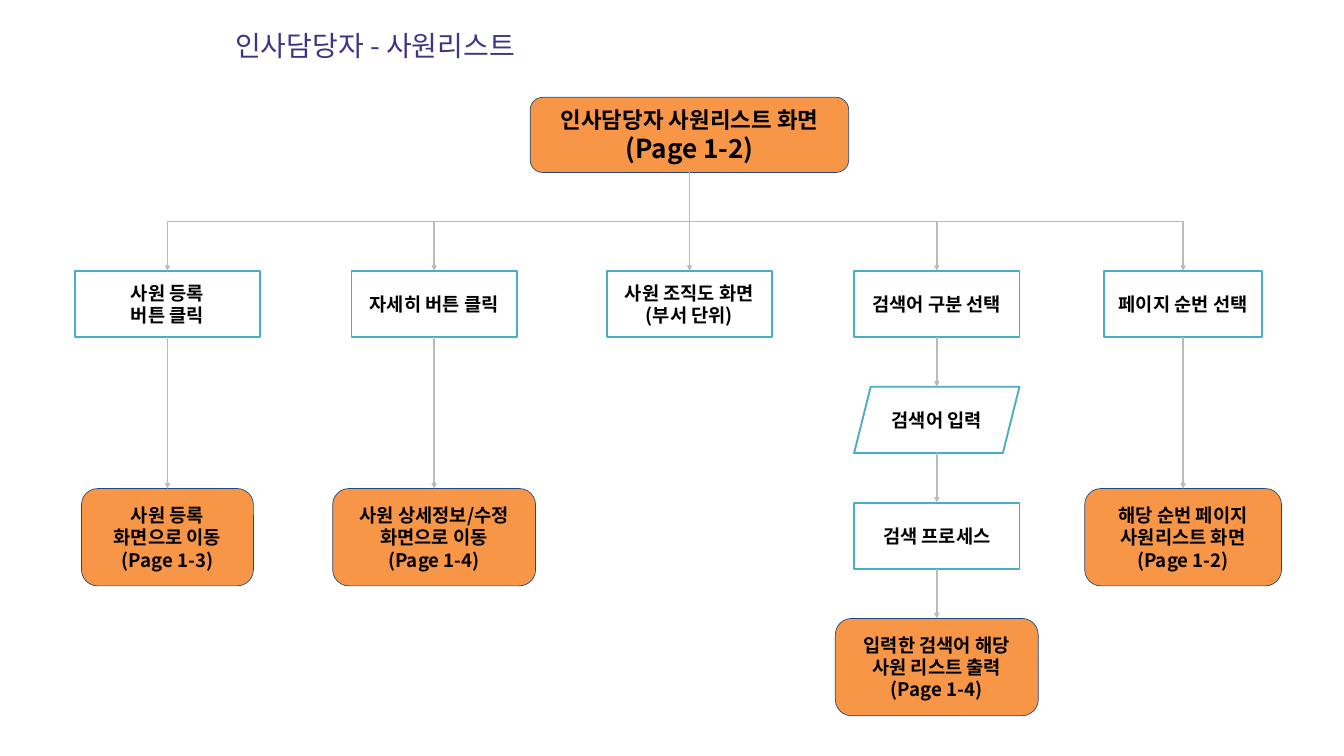
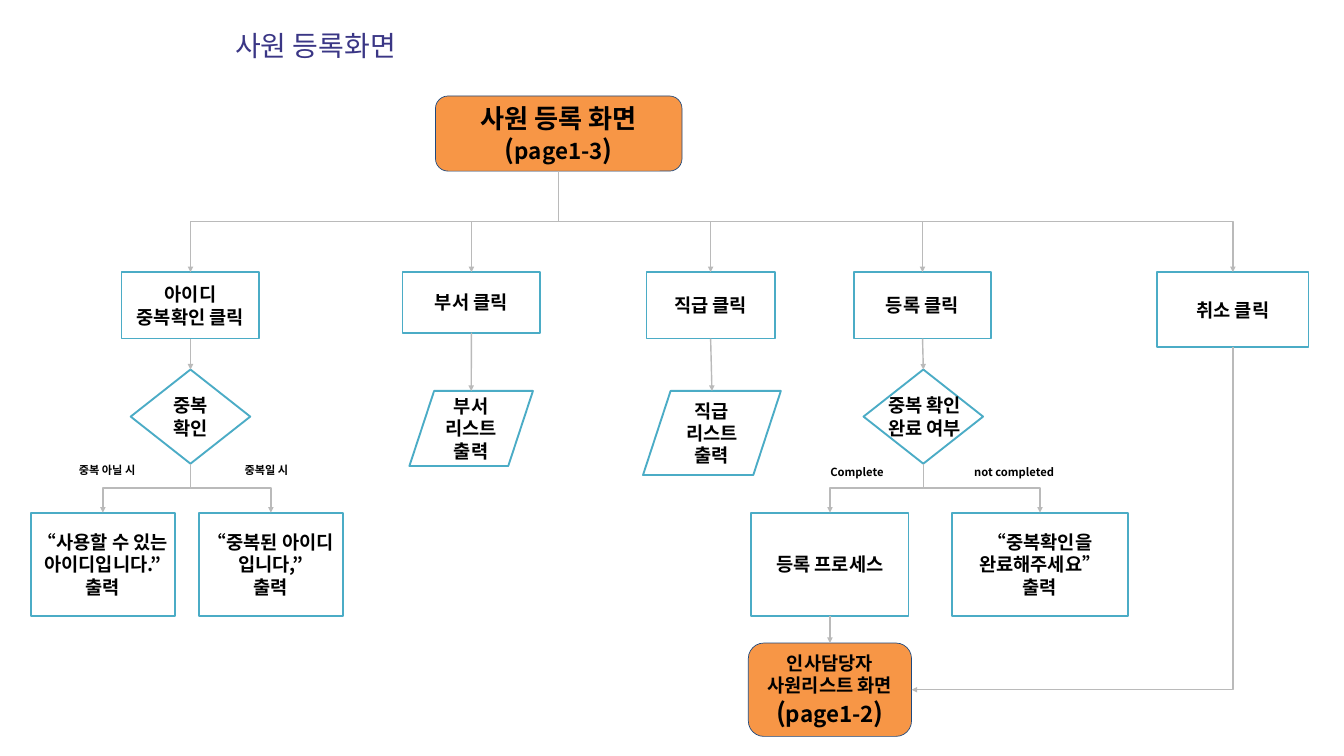
"""Build two flow charts of the staff list and staff registration screens."""
from dataclasses import dataclass

from lxml import etree
from pptx import Presentation
from pptx.dml.color import RGBColor
from pptx.enum import shapes, text
from pptx.oxml.ns import qn
from pptx.util import Cm, Pt


@dataclass(frozen=True)
class Theme:
    font: str = "Noto Sans CJK KR"
    ink: str = "000000"
    title: str = "3A3685"
    paper: str = "FFFFFF"
    screen: str = "F79646"
    screen_edge: str = "1F497D"
    step_edge: str = "4BACC6"
    arrow: str = "BABABA"
    title_size: int = 30
    head_size: int = 28
    page_size: int = 24
    body_size: int = 20
    label_size: int = 12
    screen_line: float = 0.75
    step_line: float = 2
    arrow_line: float = 1.5
    inset: float = 0.25


T = Theme()
M = shapes.MSO_SHAPE
SCREEN = (T.screen, T.screen_edge, T.screen_line)
STEP = (T.paper, T.step_edge, T.step_line)
KINDS = {
    "screen": (M.ROUNDED_RECTANGLE, SCREEN),
    "goto": (M.FLOWCHART_ALTERNATE_PROCESS, SCREEN),
    "box": (M.RECTANGLE, STEP),
    "process": (M.FLOWCHART_PROCESS, STEP),
    "input": (M.PARALLELOGRAM, STEP),
    "list": (M.FLOWCHART_DATA, STEP),
    "check": (M.FLOWCHART_DECISION, STEP),
    "diamond": (M.DIAMOND, STEP),
}


def page(name):
    return [("(", T.head_size), (name, T.page_size), (")", T.head_size)]


ROW, STEP_DOWN, MOVE_ROW = 10.24, 4.38, 18.47
CLICK_ROW, CHECK_ROW, RESULT_ROW = 10.29, 13.97, 19.38

# Nodes: name -> kind, centre x, top, width, height, lines
FLOWS = [
    {
        "title": "인사담당자 - 사원리스트",
        "nodes": {
            "staff list": ("screen", 26.06, 3.68, 12.04, 2.84, [
                [("인사담당자 사원리스트 화면", T.page_size)], [("(Page 1-2)", T.head_size)]]),
            "org chart": ("box", 26.06, ROW, 6.25, 2.51, ["사원 조직도 화면", "(부서 단위)"]),
            "search type": ("box", 35.41, ROW, 6.25, 2.51, ["검색어 구분 선택"]),
            "page number": ("box", 44.72, ROW, 5.99, 2.51, ["페이지 순번 선택"]),
            "chosen page": ("screen", 44.72, MOVE_ROW, 7.44, 3.68, [
                "해당 순번 페이지", "사원리스트 화면", "(Page 1-2)"]),
            "register": ("process", 6.33, ROW, 6.98, 2.51, ["사원 등록", "버튼 클릭"]),
            "go register": ("goto", 6.33, MOVE_ROW, 6.5, 3.68, [
                "사원 등록", "화면으로 이동", "(Page 1-3)"]),
            "details": ("process", 16.41, ROW, 6.25, 2.51, ["자세히 버튼 클릭"]),
            "go details": ("goto", 16.41, MOVE_ROW, 7.67, 3.68, [
                "사원 상세정보/수정", "화면으로 이동", "(Page 1-4)"]),
            "search word": ("input", 35.41, ROW + STEP_DOWN, 6.25, 2.51, ["검색어 입력"]),
            "search": ("box", 35.41, ROW + 2 * STEP_DOWN, 6.25, 2.51, ["검색 프로세스"]),
            "found": ("goto", 35.41, ROW + 3 * STEP_DOWN, 7.67, 3.68, [
                "입력한 검색어 해당", "사원 리스트 출력", "(Page 1-4)"]),
        },
        "links": {
            "staff list": ["register", "details", "org chart", "search type", "page number"],
            "register": ["go register"],
            "details": ["go details"],
            "search type": ["search word"],
            "search word": ["search"],
            "search": ["found"],
            "page number": ["chosen page"],
        },
        "side_links": [],
        "labels": [],
    },
    {
        "title": "사원 등록화면",
        "nodes": {
            "registration": ("screen", 21.12, 3.63, 9.32, 2.84, [
                [("사원 등록 화면", T.head_size)], page("page1-3")]),
            "id": ("process", 7.2, CLICK_ROW, 5.21, 2.51, ["아이디 중복확인 클릭"]),
            "department": ("process", 17.82, CLICK_ROW, 5.21, 2.29, ["부서 클릭"]),
            "rank": ("process", 26.86, CLICK_ROW, 4.85, 2.51, ["직급 클릭"]),
            "register": ("process", 34.87, CLICK_ROW, 5.21, 2.51, ["등록 클릭"]),
            "cancel": ("process", 46.6, CLICK_ROW, 5.72, 2.84, ["취소 클릭"]),
            "id free": ("box", 3.89, RESULT_ROW, 5.44, 3.91, [
                "“사용할 수 있는 아이디입니다.”", "출력"]),
            "id taken": ("box", 10.24, RESULT_ROW, 5.44, 3.91, [
                "“중복된 아이디 입니다,”", "출력"]),
            "department list": ("list", 17.81, 14.78, 4.67, 2.84, ["부서 리스트 출력"]),
            "rank list": ("list", 26.91, 14.78, 5.21, 3.18, ["직급 리스트", "출력"]),
            "ask check": ("box", 39.31, RESULT_ROW, 6.68, 3.91, [
                "“중복확인을 완료해주세요”", "출력"]),
            "save": ("box", 31.37, RESULT_ROW, 5.94, 3.91, ["등록 프로세스"]),
            "staff list": ("goto", 31.37, 24.31, 6.17, 3.53, [
                "인사담당자", "사원리스트 화면", page("page1-2")]),
            "id check": ("check", 7.2, CHECK_ROW, 4.52, 3.56, ["중복 확인"]),
            "checked": ("diamond", 34.9, CHECK_ROW, 4.52, 3.56, []),
        },
        "links": {
            "registration": ["id", "department", "rank", "register", "cancel"],
            "id": ["id check"],
            "id check": ["id free", "id taken"],
            "department": ["department list"],
            "rank": ["rank list"],
            "register": ["checked"],
            "checked": ["save", "ask check"],
            "save": ["staff list"],
        },
        "side_links": [("cancel", "staff list")],
        "labels": [
            (10.07, 16.64, 3.84, 2.29, ["중복일 시"], T.label_size, "CENTER"),
            (4.05, 16.64, 3.84, 2.29, ["중복 아닐 시"], T.label_size, "CENTER"),
            (32.8, 17.27, 3.33, 1.17, ["Complete"], T.label_size, "LEFT"),
            (38.48, 17.27, 3.81, 1.17, ["not completed"], T.label_size, "LEFT"),
            (34.95, 14.48, 5.44, 2.54, ["중복 확인", "완료 여부"], T.body_size, "CENTER"),
        ],
    },
]


def rgb(value):
    return RGBColor.from_string(value)


def write(sp, lines, size=T.body_size, color=T.ink, bold=True, align="CENTER",
          anchor="MIDDLE", inset=T.inset):
    tf = sp.text_frame
    tf.word_wrap = True
    tf.vertical_anchor = getattr(text.MSO_ANCHOR, anchor)
    tf.margin_left = tf.margin_right = tf.margin_top = tf.margin_bottom = Cm(inset)
    for i, line in enumerate(lines):
        p = tf.paragraphs[0] if i == 0 else tf.add_paragraph()
        p.alignment = getattr(text.PP_ALIGN, align)
        for words, points in [(line, size)] if isinstance(line, str) else line:
            r = p.add_run()
            r.text = words
            r.font.size, r.font.bold, r.font.name = Pt(points), bold, T.font
            r.font.color.rgb = rgb(color)
            latin = r.font._element.find(qn("a:latin"))
            latin.addnext(latin.makeelement(qn("a:ea"), {"typeface": T.font}))


def add_box(s, shape, left, top, width, height, fill, edge=None, points=0):
    sp = s.shapes.add_shape(shape, Cm(left), Cm(top), Cm(width), Cm(height))
    sp.shadow.inherit = False
    sp.fill.solid()
    sp.fill.fore_color.rgb = rgb(fill)
    if edge:
        sp.line.color.rgb = rgb(edge)
        sp.line.width = Pt(points)
    else:
        sp.line.fill.background()
    return sp


def add_label(s, left, top, width, height, lines, **fmt):
    write(s.shapes.add_textbox(Cm(left), Cm(top), Cm(width), Cm(height)), lines, **fmt)


def add_arrow(s, start, end, one_bend=False):
    (x1, y1), (x2, y2) = start, end
    dx, dy = x2 - x1, y2 - y1
    bent = abs(dx) > 0.1
    if bent:
        cx, cy = (x1 + x2) / 2, (y1 + y2) / 2
        x1, x2 = cx - dy / 2, cx + dy / 2
        y1, y2 = cy - abs(dx) / 2, cy + abs(dx) / 2
        if dx > 0:
            x1, x2 = x2, x1
    kind = shapes.MSO_CONNECTOR.ELBOW if bent else shapes.MSO_CONNECTOR.STRAIGHT
    c = s.shapes.add_connector(kind, Cm(x1), Cm(y1), Cm(x2), Cm(y2))
    c.line.color.rgb = rgb(T.arrow)
    c.line.width = Pt(T.arrow_line)
    sp_pr = c._element.spPr
    if bent:
        sp_pr.find(qn("a:xfrm")).set("rot", str((90 if dx < 0 else 270) * 60000))
    if one_bend:
        sp_pr.find(qn("a:prstGeom")).set("prst", "bentConnector2")
    etree.SubElement(sp_pr.find(qn("a:ln")), qn("a:tailEnd"), type="triangle")
    etree.SubElement(sp_pr, qn("a:effectLst"))


def draw_flow(s, flow):
    nodes = flow["nodes"]
    for kind, cx, top, width, height, lines in nodes.values():
        shape, style = KINDS[kind]
        write(add_box(s, shape, cx - width / 2, top, width, height, *style), lines)
    for source, targets in flow["links"].items():
        _, x, top, _, height, _ = nodes[source]
        for target in targets:
            add_arrow(s, (x, top + height), nodes[target][1:3])
    for source, target in flow["side_links"]:
        _, x, top, _, height, _ = nodes[source]
        _, cx, y, w, h, _ = nodes[target]
        add_arrow(s, (x, top + height), (cx + w / 2, y + h / 2), one_bend=True)
    for cx, top, width, height, lines, size, align in flow["labels"]:
        add_label(s, cx - width / 2, top, width, height, lines, size=size, align=align)
    add_box(s, M.RECTANGLE, 0, 0.79, 27.36, 1.9, T.paper)
    add_label(s, 8.89, 1.07, 17.81, 1.12, [flow["title"]], size=T.title_size,
              color=T.title, bold=False, align="LEFT", anchor="TOP", inset=0)


def main():
    prs = Presentation()
    prs.slide_width, prs.slide_height = Cm(50.8), Cm(28.58)
    for flow in FLOWS:
        draw_flow(prs.slides.add_slide(prs.slide_layouts[6]), flow)
    prs.save("out.pptx")


if __name__ == "__main__":
    main()
